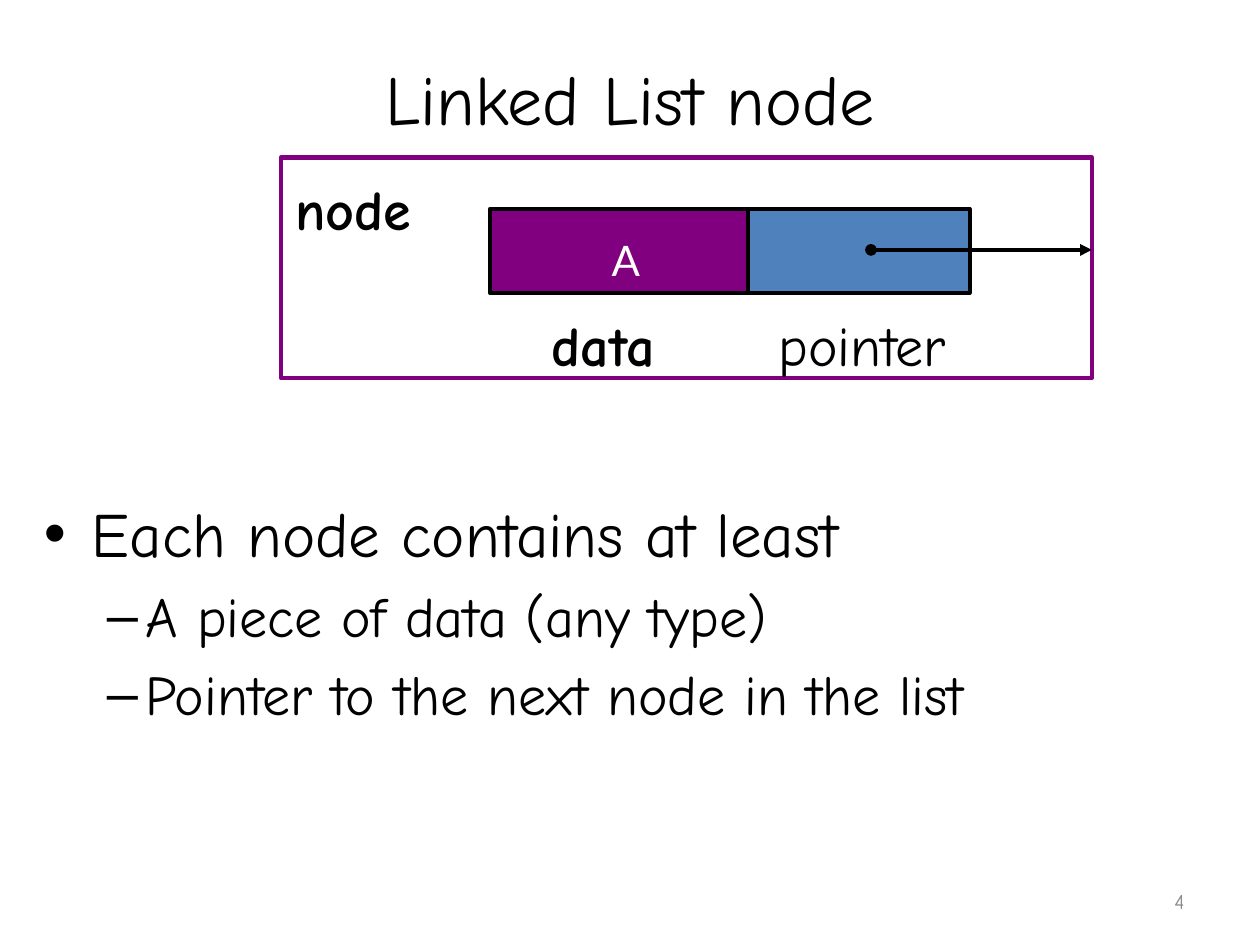
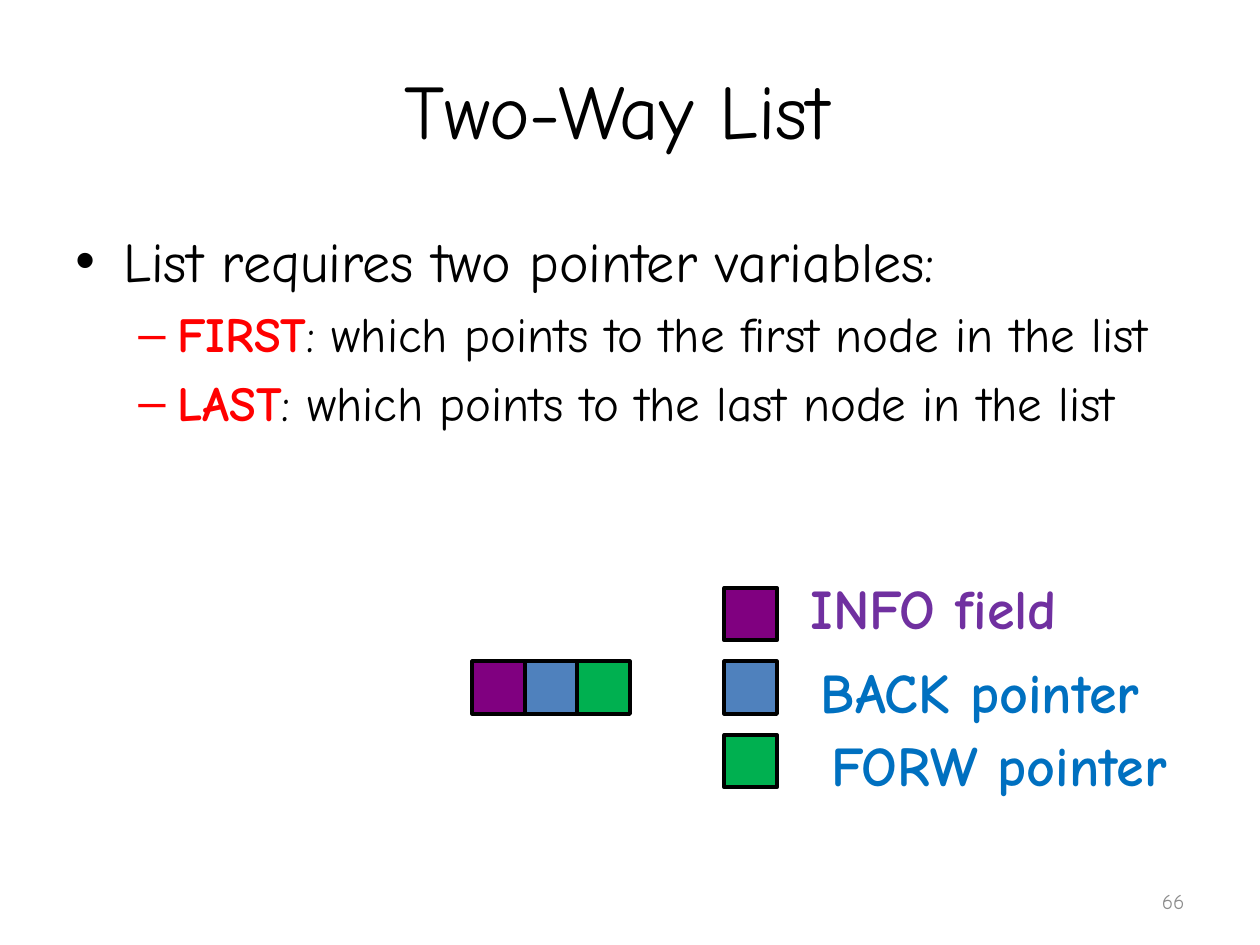
from lxml import etree
from pptx import Presentation
from pptx.dml.color import RGBColor
from pptx.enum.shapes import MSO_CONNECTOR, MSO_SHAPE
from pptx.enum.text import MSO_ANCHOR, PP_ALIGN
from pptx.oxml.ns import qn
from pptx.util import Inches, Pt

LEFT, CENTER, RIGHT = PP_ALIGN.LEFT, PP_ALIGN.CENTER, PP_ALIGN.RIGHT
TOP, MIDDLE = MSO_ANCHOR.TOP, MSO_ANCHOR.MIDDLE
RECTANGLE, STRAIGHT = MSO_SHAPE.RECTANGLE, MSO_CONNECTOR.STRAIGHT

FONT = "Comic Neue"
BLACK, WHITE, GRAY, RED = "000000", "FFFFFF", "8C8C8C", "FF0000"
PURPLE, BLUE, GREEN = "800080", "4F81BD", "00B050"
VIOLET, SKY = "7030A0", "0070C0"

# The slide is a grid of 120 columns and 90 rows, 12 to the inch
COLUMNS, ROWS, PER_INCH = 120, 90, 12
LABEL_HEIGHT = 7.7
SQUARE = 5
# Bullet sign, left margin and hanging indent (inches) of each level
BULLETS = [("•", 0.38, -0.38), ("–", 0.81, -0.31)]


def grid(*counts):
    return [Inches(count / PER_INCH) for count in counts]


def color(hex_string):
    return RGBColor.from_string(hex_string)


def set_space_before(paragraph, percent):
    """Set the gap above a paragraph as a share of its line."""
    properties = paragraph._p.get_or_add_pPr()
    space = etree.SubElement(properties, qn("a:spcBef"))
    etree.SubElement(space, qn("a:spcPct")).set("val", str(percent * 1000))


def set_bullet(paragraph, level):
    sign, margin, indent = BULLETS[level]
    paragraph.level = level
    properties = paragraph._p.get_or_add_pPr()
    properties.set("marL", str(Inches(margin)))
    properties.set("indent", str(Inches(indent)))
    etree.SubElement(properties, qn("a:buFont")).set("typeface", "Arial")
    etree.SubElement(properties, qn("a:buChar")).set("char", sign)


def add_run(paragraph, text, size=32, hex_string=BLACK, bold=False, font=FONT):
    run = paragraph.add_run()
    run.text = text
    run.font.size = Pt(size)
    run.font.name = font
    run.font.bold = bold
    run.font.color.rgb = color(hex_string)


def add_frame(slide, box, anchor=TOP, wrap=True):
    frame = slide.shapes.add_textbox(*grid(*box)).text_frame
    frame.word_wrap = wrap
    frame.vertical_anchor = anchor
    return frame


def add_text(slide, box, text, align=LEFT, anchor=TOP, wrap=True,
             space_before=0, **run_format):
    paragraph = add_frame(slide, box, anchor, wrap).paragraphs[0]
    paragraph.alignment = align
    if space_before:
        set_space_before(paragraph, space_before)
    add_run(paragraph, text, **run_format)


def add_rectangle(slide, box, fill=None, line=BLACK, width=2.25):
    shape = slide.shapes.add_shape(RECTANGLE, *grid(*box))
    shape.shadow.inherit = False
    if fill:
        shape.fill.solid()
        shape.fill.fore_color.rgb = color(fill)
    else:
        shape.fill.background()
    shape.line.color.rgb = color(line)
    shape.line.width = Pt(width)


def add_arrow(slide, start, end):
    arrow = slide.shapes.add_connector(STRAIGHT, *grid(*start, *end))
    arrow.line.color.rgb = color(BLACK)
    arrow.line.width = Pt(2.25)
    line = arrow.line._get_or_add_ln()
    etree.SubElement(line, qn("a:headEnd")).set("type", "oval")
    etree.SubElement(line, qn("a:tailEnd")).set("type", "triangle")
    etree.SubElement(arrow._element.spPr, qn("a:effectLst"))


def add_bullets(slide, box, items):
    """Each item is a level, a text size and runs of (text, format)."""
    frame = add_frame(slide, box)
    for index, (level, size, runs) in enumerate(items):
        paragraph = frame.add_paragraph() if index else frame.paragraphs[0]
        set_space_before(paragraph, 20)
        set_bullet(paragraph, level)
        for text, run_format in runs:
            add_run(paragraph, text, size=size, **run_format)


def add_base_slide(presentation, title, number, title_height, title_size):
    """Blank slide with the shared title and slide number."""
    slide = presentation.slides.add_slide(presentation.slide_layouts[6])
    add_text(slide, (6, 3.6, 108, title_height), title, align=CENTER,
             anchor=MIDDLE, size=title_size)
    add_text(slide, (86, 83.4, 28, 4.8), number, align=RIGHT,
             anchor=MIDDLE, size=12, hex_string=GRAY)
    return slide


def add_node_diagram(slide, box):
    left, top, width, height = box
    data_left, data_width, pointer_width = left + 19.9, 24.6, 21.1
    cell_top, cell_height = top + 4.9, 8
    pointer_left = data_left + data_width

    add_rectangle(slide, box, line=PURPLE, width=2.5)

    # Labels
    labels = [("data", 24.6, 14, 15.8, True),
              ("pointer", 46.2, 14, 22.8, False),
              ("node", 0.2, 1, 30.4, True)]
    for text, column, row, label_width, bold in labels:
        add_text(slide, (left + column, top + row, label_width, LABEL_HEIGHT),
                 text, space_before=50, bold=bold)

    # Pointer and data cells
    add_rectangle(slide, (pointer_left, cell_top, pointer_width, cell_height),
                  fill=BLUE)
    add_rectangle(slide, (data_left, cell_top, data_width, cell_height),
                  fill=PURPLE)
    add_text(slide, (left + 28.6, top + 6.7, 8.5, 6.1), "A", align=CENTER,
             wrap=False, size=24, hex_string=WHITE, font="Lato")

    # Link to the next node
    arrow_row = top + 8.8
    add_arrow(slide, (left + 56.2, arrow_row), (left + width, arrow_row))


def add_two_way_node(slide, left, top):
    for index, fill in [(1, BLUE), (0, PURPLE), (2, GREEN)]:
        add_rectangle(slide, (left + index * SQUARE, top, SQUARE, SQUARE),
                      fill=fill)


def add_legend(slide, left, top):
    step = 7
    # Fill, label, label row, label width, label colour
    entries = [(PURPLE, "INFO field ", -2, 35, VIOLET),
               (BLUE, "BACK pointer", 6, 40, SKY),
               (GREEN, "FORW pointer", 13, 40, SKY)]
    for index, (fill, text, row, width, hex_string) in enumerate(entries):
        add_rectangle(slide, (left, top + index * step, SQUARE, SQUARE),
                      fill=fill)
        add_text(slide, (left + step + index, top + row, width, LABEL_HEIGHT),
                 text, bold=True, hex_string=hex_string)


def build_node_slide(presentation):
    slide = add_base_slide(presentation, "Linked List node", "4", 11.4, 40)
    add_bullets(slide, (3, 46.5, 103, 35.5), [
        (0, 36, [("Each node contains at least", {})]),
        (1, 32, [("A piece of data (any type)", {})]),
        (1, 32, [("Pointer to the next node in the list", {})]),
    ])
    add_node_diagram(slide, (26.75, 15, 77.25, 21))


def build_two_way_slide(presentation):
    slide = add_base_slide(presentation, "Two-Way List ", "66", 13.5, 44)
    keyword = {"hex_string": RED, "bold": True}
    add_bullets(slide, (6, 21, 108, 59.4), [
        (0, 32, [("List requires two pointer variables:", {})]),
        (1, 28, [("FIRST", keyword),
                 (": which points to the first node in the list", {})]),
        (1, 28, [("LAST", keyword),
                 (": which points to the last node in the list ", {})]),
    ])
    add_two_way_node(slide, 45, 63)
    add_legend(slide, 69, 56)


presentation = Presentation()
presentation.slide_width, presentation.slide_height = grid(COLUMNS, ROWS)
build_node_slide(presentation)
build_two_way_slide(presentation)
presentation.save("out.pptx")
